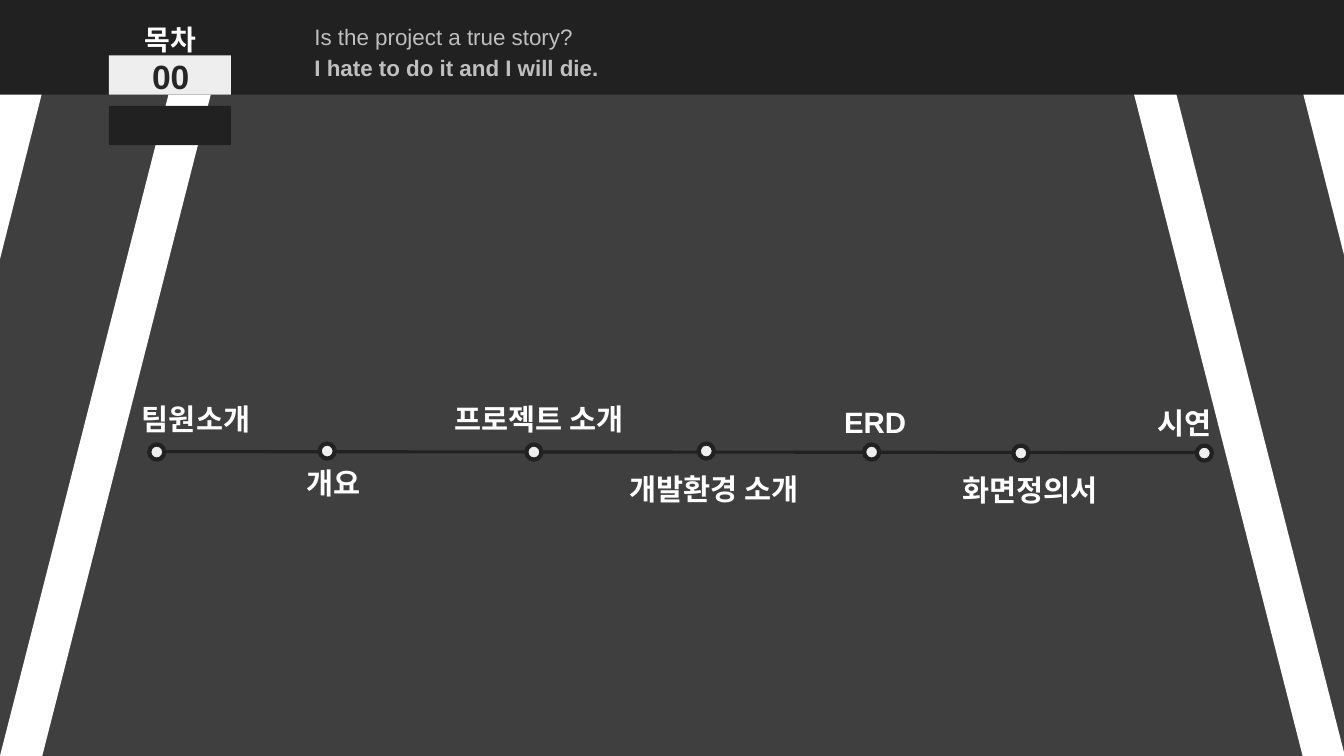
"""Build a contents slide with a road and a seven-stop timeline."""
import pptx
import pptx.dml.color
import pptx.enum.shapes
import pptx.enum.text
import pptx.oxml
import pptx.oxml.ns
import pptx.util

Inches = pptx.util.Inches
SHAPES = pptx.enum.shapes.MSO_SHAPE
ALIGN = pptx.enum.text.PP_ALIGN
WHITE, PALE, GREY, DARK, INK, ROAD = "FFFFFF", "EEEEEE", "BFBFBF", "212121", "262626", "3F3F3F"
MIRROR = 13.34


def colour(hex_text):
    """Turn a hex string into a colour."""
    return pptx.dml.color.RGBColor.from_string(hex_text)


class ContentsSlide:
    """Hold the style and the slide, and draw each kind of element."""

    font = "Arial"

    def __init__(self, deck, background):
        """Add a title-only slide with a plain background."""
        self.slide = deck.slides.add_slide(deck.slide_layouts[5])
        self.shapes = self.slide.shapes
        self.slide.background.fill.solid()
        self.slide.background.fill.fore_color.rgb = colour(background)

    def paint(self, shape, fill, outline=None):
        """Give a shape its fill and outline, without shadow."""
        shape.shadow.inherit = False
        shape.fill.solid()
        shape.fill.fore_color.rgb = colour(fill)
        if outline:
            shape.line.color.rgb = colour(outline)
            shape.line.width = pptx.util.Pt(3)
        else:
            shape.line.fill.background()

    def shape(self, kind, left, top, width, height, fill, outline=None):
        """Add a preset shape."""
        shape = self.shapes.add_shape(kind, *map(Inches, (left, top, width, height)))
        self.paint(shape, fill, outline)
        return shape

    def outline(self, points, fill):
        """Add a closed polygon."""
        corners = [(Inches(x), Inches(y)) for x, y in points]
        builder = self.shapes.build_freeform(*corners[0])
        builder.add_line_segments(corners[1:], close=True)
        self.paint(builder.convert_to_shape(), fill)

    def line(self, start, end, hex_text, width):
        """Add a straight line."""
        line = self.shapes.add_connector(
            pptx.enum.shapes.MSO_CONNECTOR.STRAIGHT, *map(Inches, start + end))
        line.line.color.rgb = colour(hex_text)
        line.line.width = pptx.util.Pt(width)
        properties = line._element.spPr
        properties.append(pptx.oxml.parse_xml(
            "<a:effectLst %s/>" % pptx.oxml.ns.nsdecls("a")))

    def letter(self, frame, text, size, hex_text, align, spacing, bold):
        """Fill a text frame and format its runs."""
        frame.text = text
        frame.auto_size = pptx.enum.text.MSO_AUTO_SIZE.NONE
        frame.vertical_anchor = pptx.enum.text.MSO_ANCHOR.TOP
        for paragraph in frame.paragraphs:
            paragraph.alignment = align
            paragraph.line_spacing = spacing
            for run in paragraph.runs:
                run.font.name = self.font
                run.font.size = pptx.util.Pt(size)
                run.font.bold = bold
                run.font.color.rgb = colour(hex_text)

    def text(self, text, left, top, width, height, size, hex_text,
             align=ALIGN.CENTER, spacing=1.5, bold=True, wrap=True):
        """Add a text box and return its text frame."""
        box = self.shapes.add_textbox(*map(Inches, (left, top, width, height)))
        box.text_frame.word_wrap = wrap
        self.letter(box.text_frame, text, size, hex_text, align, spacing, bold)
        return box.text_frame

    def title(self, text, left, top, width, height, size, hex_text):
        """Move the title placeholder to the front and fill it."""
        title = self.shapes.title
        title.left, title.top, title.width, title.height = map(
            Inches, (left, top, width, height))
        self.shapes._spTree.append(title._element)
        self.letter(title.text_frame, text, size, hex_text, ALIGN.CENTER, 1.5, True)


def main():
    """Build and save the deck."""
    deck = pptx.Presentation()
    deck.slide_width, deck.slide_height = Inches(13.33), Inches(7.5)
    contents = ContentsSlide(deck, ROAD)

    verge = [(0.23, 0), (0.65, 0), (0, 2.57), (0, 0.93)]
    contents.outline([(MIRROR - x, y) for x, y in verge], WHITE)
    contents.outline(verge, WHITE)
    for left in (0, 11.01):
        lane = contents.shape(SHAPES.PARALLELOGRAM, left, 0, 2.33, 7.5, WHITE)
        lane.adjustments[0] = 0.82
        if left:
            lane._element.spPr.xfrm.set("flipH", "1")

    contents.shape(SHAPES.RECTANGLE, 0, 0, 13.33, 0.94, DARK)
    contents.title("목차", 0.99, 0.01, 1.4, 0.61, 20, WHITE)
    motto = contents.text("Is the project a true story?\nI hate to do it and I will die.",
                          3.02, 0.05, 5.28, 0.81, 16, GREY, ALIGN.LEFT, bold=False)
    answer = motto.paragraphs[1]
    answer.line_spacing = 1.15
    answer.runs[0].font.bold = True
    for top, fill in ((0.55, PALE), (1.05, DARK)):
        contents.shape(SHAPES.RECTANGLE, 1.08, top, 1.21, 0.39, fill)
    contents.text("00", 1.41, 0.51, 0.57, 0.5, 24, INK, ALIGN.LEFT, 1.0, wrap=False)

    contents.line((1.51, 4.48), (11.93, 4.49), DARK, 2.25)
    stops = [
        ("팀원소개", 0.81, 3.76, 2.36, 1.48, 4.41),
        ("개요", 2.28, 4.39, 2.05, 3.17, 4.4),
        ("프로젝트 소개", 4.32, 3.76, 2.05, 5.22, 4.41),
        ("개발환경 소개", 6.06, 4.45, 2.05, 6.93, 4.4),
        ("ERD", 7.48, 3.79, 2.4, 8.57, 4.41),
        ("화면정의서", 9.19, 4.46, 2.05, 10.05, 4.42),
        ("시연", 10.54, 3.8, 2.42, 11.87, 4.42),
    ]
    for index, (topic, left, top, width, dot_left, dot_top) in enumerate(stops):
        label = contents.text(topic, left, top, width, 0.53, 21, WHITE)
        if index == 0:
            first = label.paragraphs[0]
            first.alignment = ALIGN.LEFT
            first._p.get_or_add_pPr().set("indent", str(Inches(0.5)))
        contents.shape(SHAPES.OVAL, dot_left, dot_top, 0.15, 0.15, PALE, DARK)

    deck.save("out.pptx")


if __name__ == "__main__":
    main()
